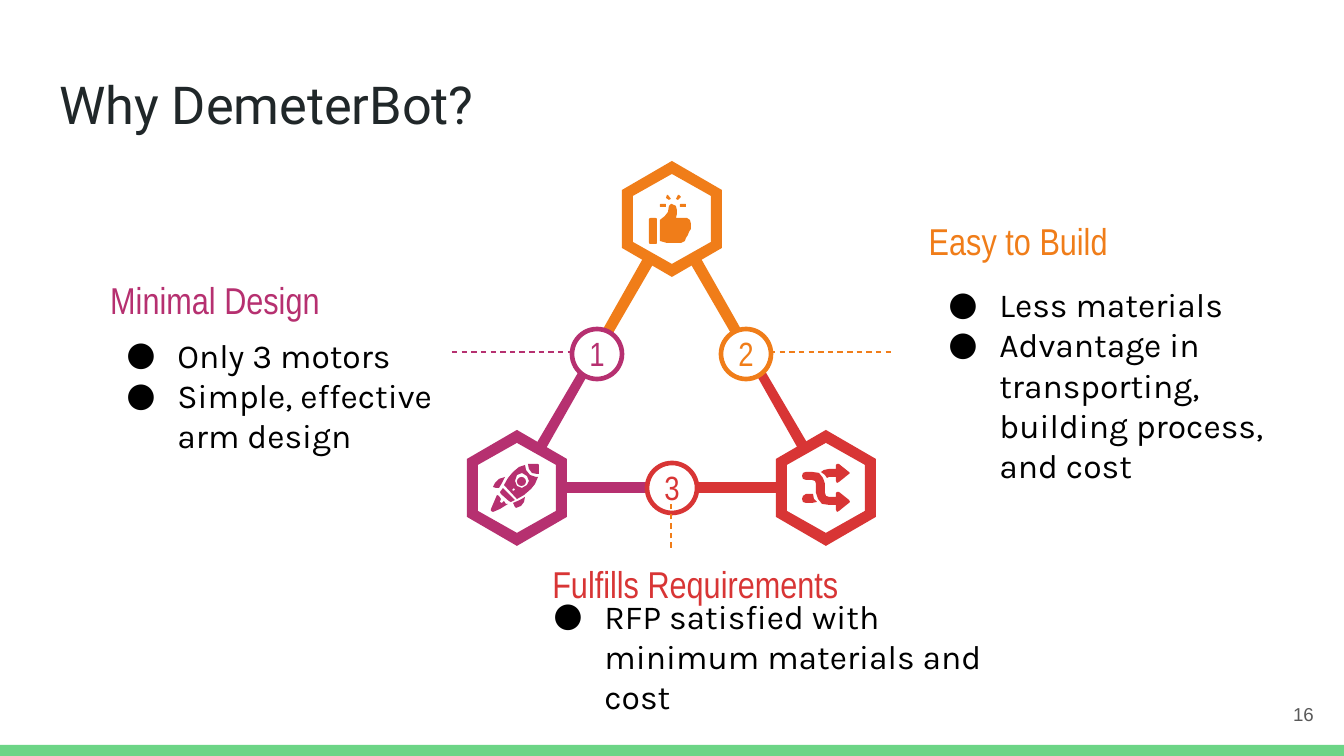
from lxml import etree
from pptx import Presentation
from pptx import util as u
from pptx.dml.color import RGBColor
from pptx.enum import dml, shapes, text
from pptx.oxml.ns import qn

PX = 914400 / 134.4
WHITE = RGBColor(0xFF, 0xFF, 0xFF)
BLACK = RGBColor(0, 0, 0)
ORANGE = RGBColor(0xF0, 0x7D, 0x19)
PURPLE = RGBColor(0xB6, 0x30, 0x70)
RED = RGBColor(0xD8, 0x35, 0x35)
GREEN = RGBColor(0x6C, 0xD5, 0x86)
INK = RGBColor(0x20, 0x27, 0x29)
GRAY = RGBColor(0x59, 0x59, 0x59)
TOP, MID, BOTTOM = text.MSO_ANCHOR.TOP, text.MSO_ANCHOR.MIDDLE, text.MSO_ANCHOR.BOTTOM
LEFT, CENTER, RIGHT = text.PP_ALIGN.LEFT, text.PP_ALIGN.CENTER, text.PP_ALIGN.RIGHT

prs = Presentation()
prs.slide_width, prs.slide_height = int(1344 * PX), int(756 * PX)
s = prs.slides.add_slide(prs.slide_layouts[6])


def polygon(color, *contours):
    fb = s.shapes.build_freeform(*contours[0][0], scale=PX)
    fb.add_line_segments(contours[0][1:])
    for c in contours[1:]:
        fb.move_to(*c[0])
        fb.add_line_segments(c[1:])
    sp = fb.convert_to_shape()
    sp.shadow.inherit = False
    sp.fill.solid()
    sp.fill.fore_color.rgb = color
    sp.line.fill.background()


def add_text(box, lines, size, font, color, align=LEFT, anchor=MID, bullets=False, spacing=None):
    sp = s.shapes.add_textbox(*[int(v * PX) for v in box])
    tf = sp.text_frame
    tf.word_wrap = True
    tf.vertical_anchor = anchor
    tf.margin_left = tf.margin_right = tf.margin_top = tf.margin_bottom = u.Inches(0.1)
    for i, line in enumerate(lines):
        p = tf.paragraphs[0] if i == 0 else tf.add_paragraph()
        p.alignment = align
        if spacing:
            p.line_spacing = spacing
        if bullets:
            pPr = p._p.get_or_add_pPr()
            pPr.set("marL", str(u.Inches(0.5)))
            pPr.set("indent", str(-u.Inches(0.38)))
            clr = etree.SubElement(pPr, qn("a:buClr"))
            etree.SubElement(clr, qn("a:srgbClr")).set("val", str(color))
            etree.SubElement(pPr, qn("a:buFont")).set("typeface", font)
            etree.SubElement(pPr, qn("a:buChar")).set("char", "●")
        r = p.add_run()
        r.text = line
        r.font.size = u.Pt(size)
        r.font.name = font
        r.font.color.rgb = color


for cx, cy, color in [(672, 219, ORANGE), (517, 488, PURPLE), (826, 488, RED)]:
    core, outer, inner = [
        [(cx, cy - h), (cx + w, cy - c), (cx + w, cy + c), (cx, cy + h),
         (cx - w, cy + c), (cx - w, cy - c), (cx, cy - h)]
        for w, h, c in [(44, 51, 25), (50, 58, 29), (39, 45, 23)]]
    polygon(WHITE, core)
    polygon(color, outer, inner[::-1])

bars = [
    (ORANGE, ORANGE, [(645, 255), (602, 331), (612, 335), (655, 261)]),
    (PURPLE, RED, [(579, 371), (535, 446), (544, 452), (587, 376)]),
    (PURPLE, RED, [(562, 482), (562, 493), (648, 493), (648, 482)]),
]
for left_color, right_color, pts in bars:
    polygon(left_color, pts)
    polygon(right_color, [(1344 - x, y) for x, y in pts])

R = 25
for number, cx, cy, color, start, end in [
    ("1", 597, 354, PURPLE, (452, 352), (572, 352)),
    ("2", 746, 354, ORANGE, (770, 352), (891, 352)),
    ("3", 672, 488, RED, (671, 548), (671, 503)),
]:
    sp = s.shapes.add_shape(shapes.MSO_SHAPE.OVAL, *[int(v * PX) for v in (cx - R, cy - R, 2 * R, 2 * R)])
    sp.shadow.inherit = False
    sp.fill.solid()
    sp.fill.fore_color.rgb = WHITE
    sp.line.color.rgb = color
    sp.line.width = u.Pt(2.5)
    add_text((cx - 36, cy - 22, 72, 43), [number], 18, "Arial Narrow", color, CENTER)
    ln = s.shapes.add_connector(shapes.MSO_CONNECTOR.STRAIGHT, *[int(v * PX) for v in start + end])
    ln.line.color.rgb = ORANGE if number == "3" else color
    ln.line.width = u.Pt(0.75)
    ln.line.dash_style = dml.MSO_LINE.DASH
    etree.SubElement(ln._element.spPr, qn("a:effectLst"))

thumb = [(671, 204), (669, 206), (668, 212), (665, 216), (660, 220), (660, 241), (667, 243),
         (681, 243), (685, 241), (686, 238), (688, 235), (689, 232), (691, 229), (691, 224),
         (690, 220), (687, 218), (676, 218), (677, 214), (677, 210), (676, 206), (672, 204)]
sparks = [
    [(667, 195), (668, 195), (671, 199), (669, 200), (666, 198)],
    [(679, 195), (681, 197), (678, 200), (676, 199), (678, 195)],
]
rocket_body = [(525, 465), (519, 467), (513, 472), (508, 478), (504, 485), (517, 499), (524, 495),
               (531, 489), (535, 484), (538, 477), (536, 477), (530, 475), (526, 470), (525, 465)]
porthole = [(522, 473), (517, 475), (515, 481), (517, 486), (522, 488), (527, 485), (529, 481),
            (527, 476), (522, 473)]
rivet = [(514, 488), (512, 490), (513, 491), (515, 490), (514, 488)]
rocket_parts = [
    [(528, 464), (538, 464), (539, 465), (539, 474), (537, 474), (532, 473), (529, 469)],
    [(525, 497), (520, 500), (513, 503), (515, 507), (516, 508), (521, 506), (524, 502)],
    [(497, 495), (494, 502), (491, 509), (491, 511), (493, 512), (500, 509), (508, 504),
     (506, 504), (504, 501), (502, 503), (500, 502), (501, 499), (499, 496)],
    [(505, 477), (499, 479), (495, 483), (493, 487), (496, 488), (499, 488), (502, 483)],
    [(503, 488), (500, 492), (501, 494), (509, 501), (511, 502), (515, 500)],
]
shuffle_parts = [
    [(837, 464), (836, 465), (836, 469), (829, 469), (824, 470), (821, 472), (825, 475),
     (827, 478), (829, 477), (836, 477), (836, 481), (837, 483), (839, 482), (849, 474),
     (850, 473), (849, 472), (839, 464)],
    [(806, 472), (803, 473), (802, 476), (803, 479), (806, 480), (812, 480), (815, 481),
     (816, 484), (816, 493), (818, 499), (822, 504), (829, 505), (836, 505), (836, 510),
     (837, 512), (839, 511), (849, 503), (850, 502), (849, 500), (839, 492), (837, 492),
     (836, 493), (836, 497), (829, 497), (826, 496), (825, 493), (825, 484), (823, 478),
     (819, 473), (812, 472)],
    [(813, 494), (806, 494), (803, 496), (802, 499), (803, 502), (806, 503), (812, 503),
     (817, 502), (814, 499)],
]
polygon(PURPLE, rocket_body, porthole, rivet)
for color, parts in [(ORANGE, [thumb] + sparks), (PURPLE, rocket_parts), (RED, shuffle_parts)]:
    for pts in parts:
        polygon(color, pts)

ROUND, OVAL, RECT = (shapes.MSO_SHAPE.ROUNDED_RECTANGLE, shapes.MSO_SHAPE.OVAL,
                     shapes.MSO_SHAPE.RECTANGLE)
for kind, box, color in [
    (ROUND, (649, 218, 8, 26), ORANGE),
    (ROUND, (660, 204, 6, 3), ORANGE),
    (ROUND, (680, 204, 6, 3), ORANGE),
    (OVAL, (517, 477, 9, 9), PURPLE),
    (RECT, (0, 745, 1344, 11), GREEN),
]:
    sp = s.shapes.add_shape(kind, *[int(v * PX) for v in box])
    sp.shadow.inherit = False
    sp.fill.solid()
    sp.fill.fore_color.rgb = color
    sp.line.fill.background()

for heading, color, align, head_box, points, body_box in [
    ("Minimal Design", PURPLE, LEFT, (97, 280, 351, 39),
     ["Only 3 motors", "Simple, effective arm design"], (97, 255, 351, 214)),
    ("Easy to Build", ORANGE, RIGHT, (770, 219, 351, 43),
     ["Less materials", "Advantage in transporting, building process, and cost"],
     (919, 257, 372, 242)),
    ("Fulfills Requirements", RED, CENTER, (500, 562, 391, 43),
     ["RFP satisfied with minimum materials and cost"], (524, 628, 517, 102)),
]:
    add_text(head_box, [heading], 20, "Arial Narrow", color, align)
    add_text(body_box, points, 18, "Karla", BLACK, anchor=BOTTOM, bullets=True)

add_text((46, 66, 1253, 85), ["Why DemeterBot?"], 28, "Roboto", INK, anchor=TOP, spacing=0.9)
add_text((1246, 685, 81, 58), ["16"], 10, "Arial", GRAY, RIGHT)

prs.save("out.pptx")
